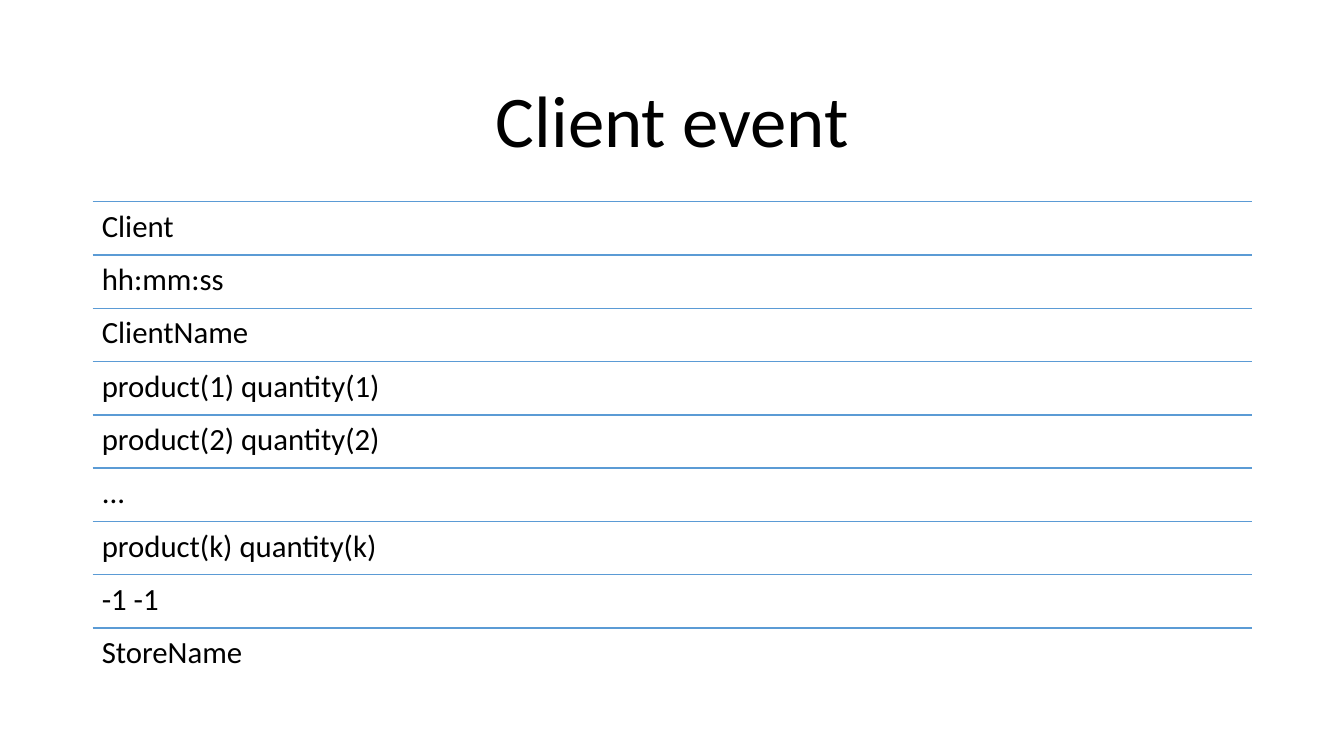
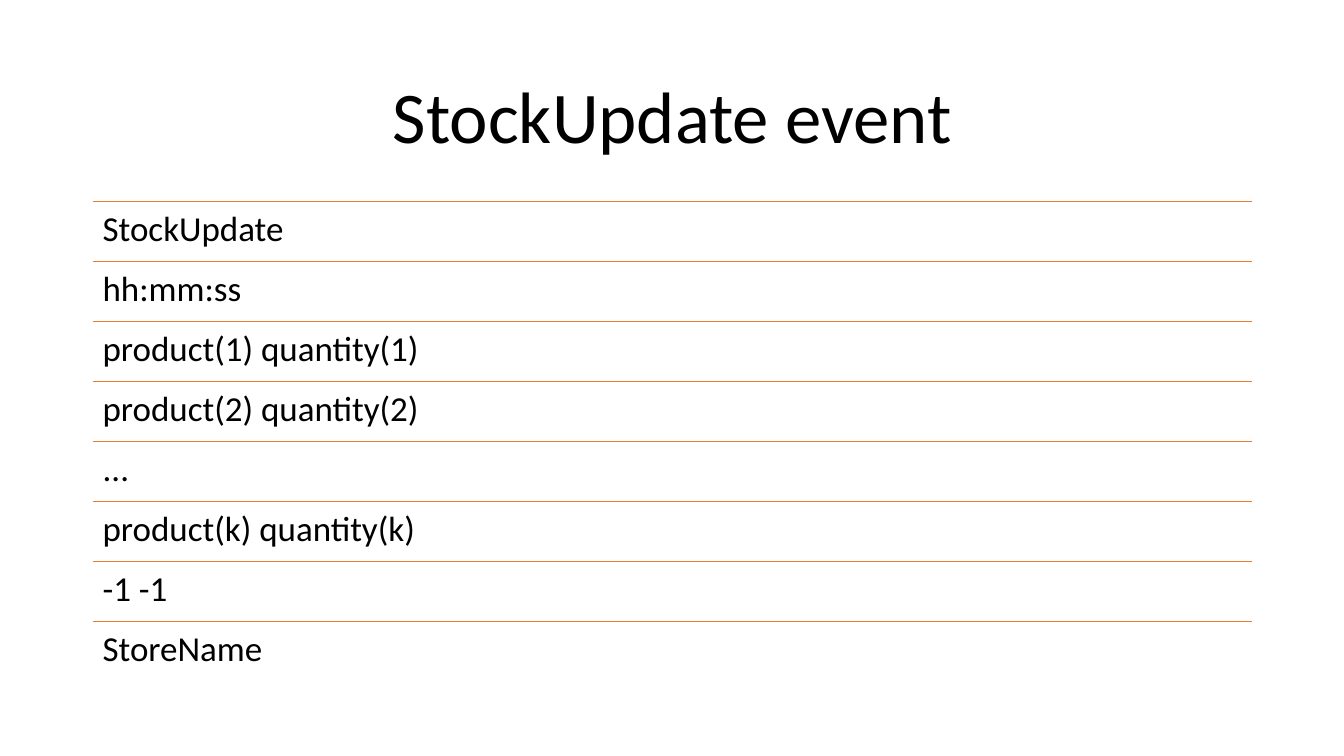
from pptx import Presentation
from pptx.dml.color import RGBColor as RGB
from pptx.enum.shapes import MSO_CONNECTOR as LINK
from pptx.enum.text import MSO_ANCHOR as ANCHOR, MSO_AUTO_SIZE as FIT, PP_ALIGN as ALIGN
from pptx.oxml.ns import qn
from pptx.util import Inches, Pt
from lxml.etree import SubElement

HUES = {"ink": "000000", "blue": "5B9BD5", "orange": "ED7D31"}
FONT = "Calibri"
LEFT, WIDE = 6.9, 86.25    # percent of slide width
TOP, HIGH = 26.67, 63.47   # percent of slide height


def write(shape, text, size, align=ALIGN.LEFT, anchor=ANCHOR.TOP, inset=0.1, hue="ink"):
    """Put formatted text into a shape; the inset is in inches."""
    frame = shape.text_frame
    frame.text = text
    frame.word_wrap = True
    frame.auto_size = FIT.NONE
    frame.vertical_anchor = anchor
    frame.margin_left = frame.margin_right = Inches(inset)
    frame.margin_top = frame.margin_bottom = Inches(inset)
    for par in frame.paragraphs:
        par.alignment = align
        par.line_spacing = 0.9
        par.font.name = FONT
        par.font.size = Pt(size)
        par.font.color.rgb = RGB.from_string(HUES[hue])


class Deck:
    """Holds the shared style and the current slide."""

    def __init__(self):
        """Start a wide deck."""
        self.show = Presentation()
        self.show.slide_width = Inches(13.33)
        self.show.slide_height = Inches(7.5)

    def across(self, share):
        """Turn a percentage of the slide width into a length."""
        return round(self.show.slide_width * share / 100)

    def down(self, share):
        """Turn a percentage of the slide height into a length."""
        return round(self.show.slide_height * share / 100)

    def box(self, top, high):
        """Return left, top, width and height of a full-width area."""
        return self.across(LEFT), self.down(top), self.across(WIDE), self.down(high)

    def page(self, title, top):
        """Add a slide and set its title."""
        self.slide = self.show.slides.add_slide(self.show.slide_layouts[5])
        head = self.slide.shapes.title
        head.left, head.top, head.width, head.height = self.box(top, 16.53)
        write(head, title, 52, align=ALIGN.CENTER, anchor=ANCHOR.MIDDLE)

    def rule(self, top, hue):
        """Draw a thin line across the content area."""
        left, y, wide, _ = self.box(top, 0)
        line = self.slide.shapes.add_connector(LINK.STRAIGHT, left, y, left + wide, y)
        line.line.color.rgb = RGB.from_string(HUES[hue])
        line.line.width = Pt(1)
        SubElement(line._element.spPr, qn("a:effectLst"))

    def rows(self, items, hue, size, inset):
        """Stack ruled rows of equal height."""
        step = HIGH / len(items)
        for num, item in enumerate(items):
            top = TOP + num * step
            self.rule(top, hue)
            cell = self.slide.shapes.add_textbox(*self.box(top, step))
            write(cell, item, size, inset=inset)

    def save(self):
        """Write the deck to disk."""
        self.show.save("out.pptx")


TAIL = ["product(1) quantity(1)", "product(2) quantity(2)", "...",
        "product(k) quantity(k)", "-1 -1", "StoreName"]

deck = Deck()
deck.page("Client event", top=8.13)
deck.rows(["Client", "hh:mm:ss", "ClientName"] + TAIL, "blue", size=22, inset=0.09)
deck.page("StockUpdate event", top=7.6)
deck.rows(["StockUpdate", "hh:mm:ss"] + TAIL, "orange", size=25, inset=0.1)
deck.save()
